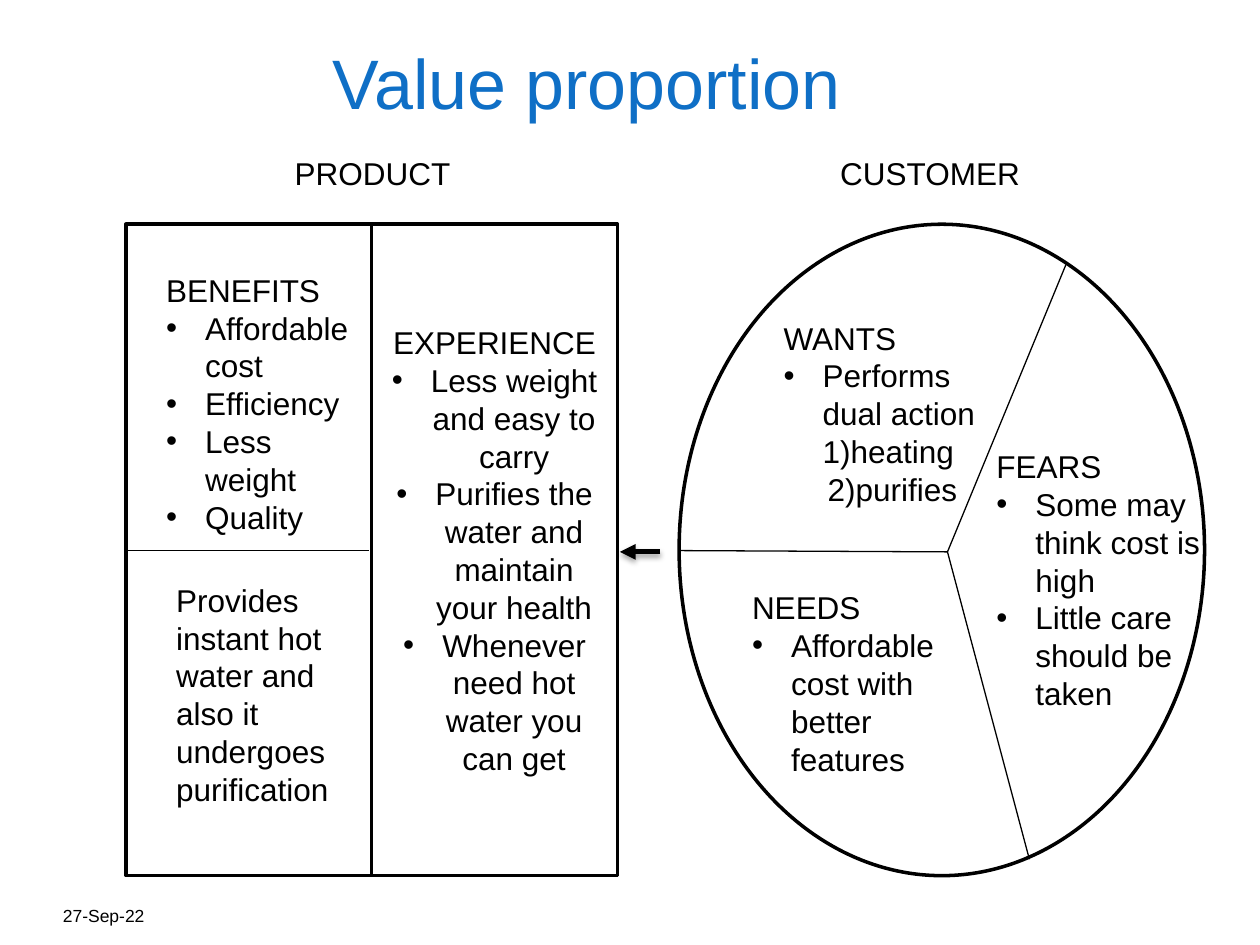
from lxml import etree
from pptx import Presentation
from pptx import util as u
from pptx.dml.color import RGBColor
from pptx.enum import shapes as sh, text as tx
from pptx.oxml import ns

PX = 9144  # 100 px to the inch
BLACK = RGBColor(0, 0, 0)
WHITE = RGBColor(255, 255, 255)
BLUE = RGBColor(0x0F, 0x6F, 0xC6)
HANG = 31  # bullet indent


def emu(*vals):
    return [u.Emu(v * PX) for v in vals]


def sub(node, tag, **attrs):
    return etree.SubElement(node, ns.qn(tag), {k: str(v) for k, v in attrs.items()})


def style(par, size=18, color=BLACK):
    for run in par.runs:
        run.font.size = u.Pt(size)
        run.font.name = "Arial"
        run.font.color.rgb = color


def indent(par, left, bullet=False):
    props = par._p.get_or_add_pPr()
    props.set("marL", str(left * PX))
    if bullet:
        props.set("indent", str(-left * PX))
        sub(props, "a:buFont", typeface="Arial")
        sub(props, "a:buChar", char="•")


def write(frame, head, items=(), align=tx.PP_ALIGN.LEFT):
    """A heading line followed by bulleted items."""
    frame.word_wrap = True
    frame.text = "\n".join([head, *items])
    for i, par in enumerate(frame.paragraphs):
        par.alignment = align
        style(par)
        if i:
            indent(par, HANG, bullet=True)


def label(slide, box, head, items=()):
    frame = slide.shapes.add_textbox(*emu(*box)).text_frame
    write(frame, head, items)
    return frame


def outline(slide, kind, box):
    shape = slide.shapes.add_shape(kind, *emu(*box))
    shape.shadow.inherit = False
    shape.fill.solid()
    shape.fill.fore_color.rgb = WHITE
    shape.line.color.rgb = BLACK
    shape.line.width = u.Pt(2)
    return shape


def line(slide, start, end, width=0.75):
    """Return the line and its empty effect list."""
    link = slide.shapes.add_connector(sh.MSO_CONNECTOR.STRAIGHT, *emu(*start, *end))
    link.line.color.rgb = BLACK
    link.line.width = u.Pt(width)
    return link, sub(link._element.spPr, "a:effectLst")


def title(slide, box):
    head = slide.shapes.title
    head.left, head.top, head.width, head.height = emu(*box)
    frame = head.text_frame
    frame.text = "Value proportion"
    frame.margin_left = frame.margin_right = frame.margin_bottom = 0
    frame.vertical_anchor = tx.MSO_ANCHOR.BOTTOM
    frame.paragraphs[0].alignment = tx.PP_ALIGN.LEFT
    style(frame.paragraphs[0], 40, BLUE)


def date(slide, box):
    frame = label(slide, box, "27-Sep-22")
    frame.margin_left = frame.margin_right = 0
    frame.margin_top = frame.margin_bottom = 0
    frame.vertical_anchor = tx.MSO_ANCHOR.BOTTOM
    style(frame.paragraphs[0], 10)


def arrow(slide, start, end):
    link, effects = line(slide, start, end, 3)
    sub(link.line._get_or_add_ln(), "a:tailEnd", type="triangle")
    shade = sub(effects, "a:outerShdw", blurRad=u.Pt(3.1), dist=u.Pt(1.8),
                dir=90 * 60000, rotWithShape=0)
    sub(sub(shade, "a:srgbClr", val=BLACK), "a:alpha", val=35000)


def product(slide, box):
    x, y, w, h = box
    mid = x + w // 2
    label(slide, (x + 124, y - 61, 189, 40), "PRODUCT")
    outline(slide, sh.MSO_SHAPE.RECTANGLE, box)
    line(slide, (x, y + 259), (mid - 2, y + 259))

    # Left column
    label(slide, (x + 22, y + 32, 171, 252), "BENEFITS",
          ["Affordable cost", "Efficiency", "Less weight", "Quality"])
    label(slide, (x + 30, y + 278, 142, 192),
          "Provides instant hot water and also it undergoes purification")

    # Right column
    panel = outline(slide, sh.MSO_SHAPE.RECTANGLE, (mid, y, w // 2, h))
    panel.text_frame.vertical_anchor = tx.MSO_ANCHOR.MIDDLE
    write(panel.text_frame, "EXPERIENCE",
          ["Less weight and easy to carry",
           "Purifies the water and maintain your health",
           "Whenever need hot water you can get"], tx.PP_ALIGN.CENTER)


def customer(slide, box):
    x, y = box[:2]
    label(slide, (x + 118, y - 61, 189, 40), "CUSTOMER")
    outline(slide, sh.MSO_SHAPE.OVAL, box)

    # Spokes from the hub to the rim
    hub = (x + 213, y + 260)
    for dx, dy in [(307, 32), (0, 259), (278, 504)]:
        line(slide, (x + dx, y + dy), hub)

    # Sectors
    wants = label(slide, (x + 73, y + 70, 181, 162), "WANTS",
                  ["Performs dual action 1)heating"])
    last = wants.add_paragraph()
    last.text = "2)purifies"
    indent(last, 35)
    style(last)
    label(slide, (x + 48, y + 284, 181, 162), "NEEDS",
          ["Affordable cost with better features"])
    label(slide, (x + 242, y + 172, 205, 252), "FEARS",
          ["Some may think cost is high", "Little care should be taken"])


def main():
    prs = Presentation()
    prs.slide_width, prs.slide_height = emu(1000, 750)
    slide = prs.slides.add_slide(prs.slide_layouts[5])
    title(slide, (264, -27, 908, 125))
    product(slide, (100, 178, 390, 517))
    customer(slide, (539, 178, 417, 517))
    arrow(slide, (524, 438), (492, 438))
    date(slide, (50, 695, 233, 40))
    prs.save("out.pptx")


if __name__ == "__main__":
    main()
